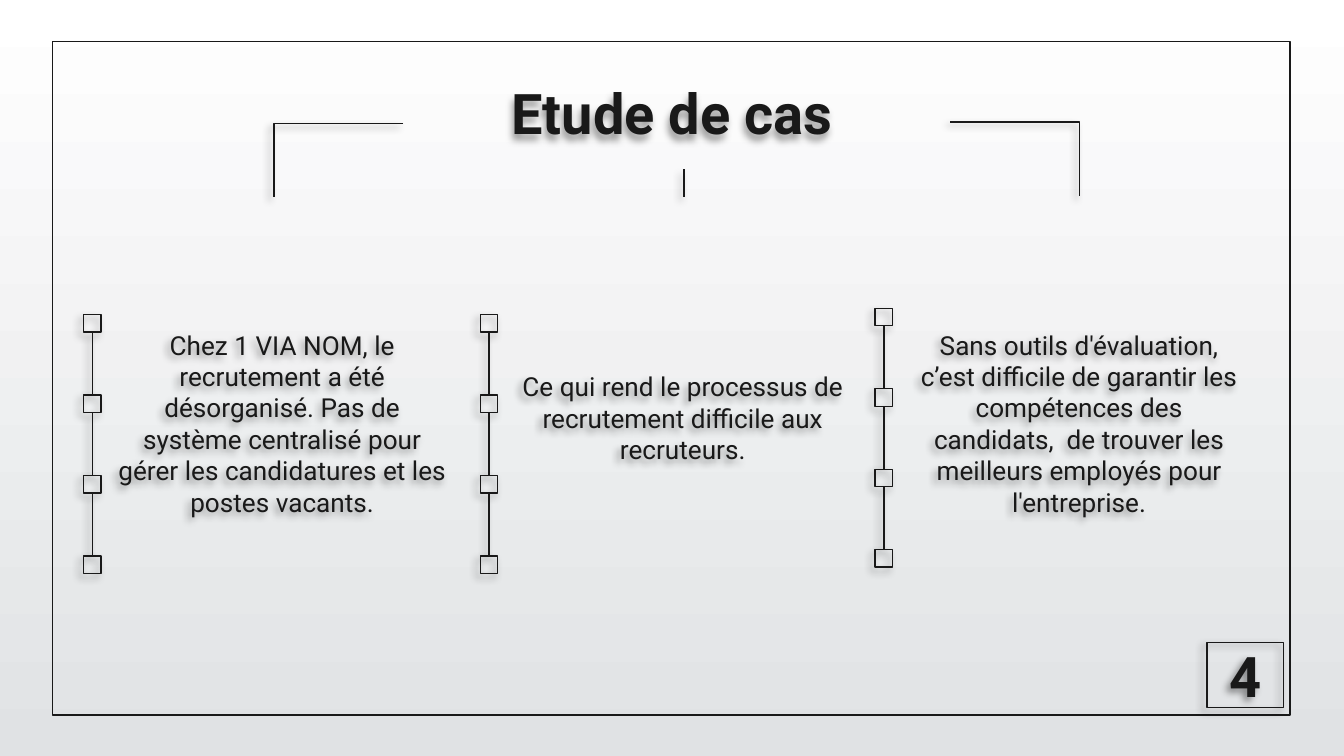
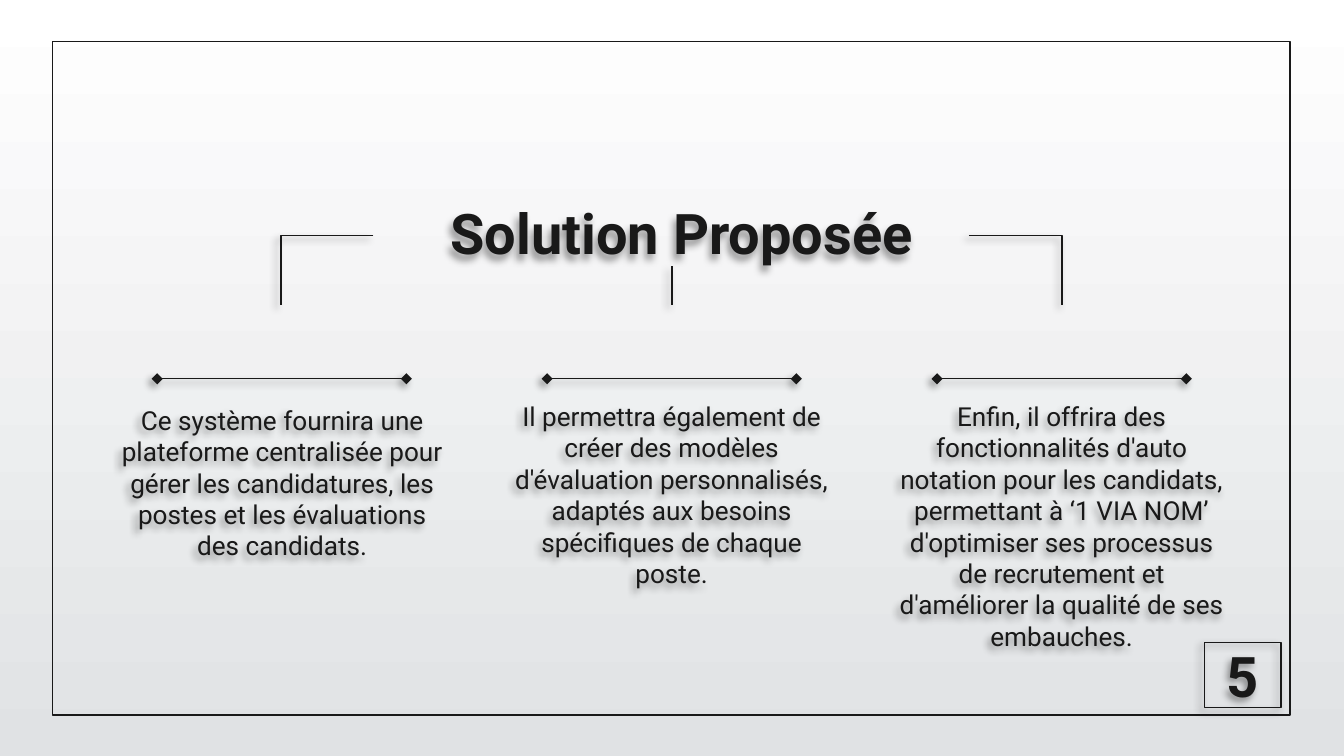
from dataclasses import dataclass

from lxml.etree import SubElement
from pptx import Presentation
from pptx.dml.color import RGBColor
from pptx.enum.shapes import MSO_CONNECTOR, MSO_SHAPE
from pptx.enum.text import MSO_ANCHOR, MSO_AUTO_SIZE, PP_ALIGN
from pptx.oxml.ns import qn
from pptx.util import Cm, Pt


@dataclass(frozen=True)
class Theme:
    ink: RGBColor = RGBColor(0x19, 0x19, 0x19)
    top: RGBColor = RGBColor(0xFF, 0xFF, 0xFF)
    bottom: RGBColor = RGBColor(0xE0, 0xE2, 0xE4)
    font: str = "Roboto"
    title_size: Pt = Pt(30)
    body_size: Pt = Pt(14)
    line_width: Pt = Pt(0.75)


theme = Theme()


def outline(shape, shadow=True):
    shape.line.color.rgb = theme.ink
    shape.line.width = theme.line_width
    effects = SubElement(shape.element.spPr, qn("a:effectLst"))
    if shadow:
        add_shadow(effects)


def add_shadow(effects):
    outer = SubElement(effects, qn("a:outerShdw"), blurRad=str(Pt(4)), dist=str(Pt(3)),
                       dir="8100000", algn="tr", rotWithShape="0")
    color = SubElement(outer, qn("a:srgbClr"), val="000000")
    SubElement(color, qn("a:alpha"), val="40000")


pages = [
    {
        "title": ("Etude de cas", 2, 1.24),
        "inset": 0.05,
        "texts": [
            (1.98, 6.17, 6.71, 6.58, "Chez 1 VIA NOM, le recrutement a été désorganisé. Pas de système "
             "centralisé pour gérer les candidatures et les postes vacants."),
            (9.55, 6.96, 6.71, 2.54, "Ce qui rend le processus de recrutement difficile aux recruteurs."),
            (17.04, 6.17, 6.71, 3.81, "Sans outils d'évaluation, c’est difficile de garantir les "
             "compétences des candidats,  de trouver les meilleurs employés pour l'entreprise."),
        ],
        "elbows": [(7.62, 2.34, 5.18, 3.73), (17.96, 2.31, 20.4, 3.71)],
        "stem": (12.93, 3.2, 12.93, 3.73),
        "chains": [(1.58, 5.95), (9.08, 5.95), (16.54, 5.83)],
        "bars": [],
        "number": ("4", 22.81),
    },
    {
        "title": ("Solution Proposée", 2.18, 3.51),
        "inset": 0.25,
        "texts": [
            (2.01, 7.39, 6.65, 3.58, "Ce système fournira une plateforme centralisée pour gérer les "
             "candidatures, les postes et les évaluations des candidats."),
            (9.37, 7.32, 6.65, 3.58, "Il permettra également de créer des modèles d'évaluation "
             "personnalisés, adaptés aux besoins spécifiques de chaque poste."),
            (16.74, 7.32, 6.65, 4.7, "Enfin, il offrira des fonctionnalités d'auto notation pour les "
             "candidats, permettant à ‘1 VIA NOM’ d'optimiser ses processus de recrutement et "
             "d'améliorer la qualité de ses embauches."),
        ],
        "elbows": [(7.06, 4.45, 5.31, 5.77), (18.31, 4.45, 20.07, 5.77)],
        "stem": (12.7, 5.03, 12.7, 5.77),
        "chains": [],
        "bars": [2.97 + 7.37 * column for column in range(3)],
        "number": ("5", 22.76),
    },
]

square_side = 0.33
square_pitch = 1.52
bar_top = 7.16
bar_length = 4.71

deck = Presentation()
deck.slide_width, deck.slide_height = Cm(25.4), Cm(14.29)
layout = deck.slide_layouts[5]

backdrop = deck.slide_master.background.fill
backdrop.gradient()
backdrop.gradient_angle = 270
for stop, color in zip(backdrop.gradient_stops, (theme.top, theme.bottom)):
    stop.color.rgb = color

for index, content in enumerate(pages):
    page = deck.slides.add_slide(layout)

    if index == 0:
        frame = page.shapes.add_shape(MSO_SHAPE.RECTANGLE, Cm(0.99), Cm(0.79), Cm(23.39), Cm(12.73))
        frame.fill.background()
        outline(frame, shadow=False)
        layout.shapes.element.append(frame.element)

    wording, left, top = content["title"]
    title = page.shapes.title
    title.left, title.top, title.width, title.height = Cm(left), Cm(top), Cm(21.41), Cm(1.6)
    written = [(title, wording, theme.title_size, True, 0.25, MSO_ANCHOR.TOP)]

    for left, top, width, height, wording in content["texts"]:
        box = page.shapes.add_textbox(Cm(left), Cm(top), Cm(width), Cm(height))
        written.append((box, wording, theme.body_size, False, content["inset"], MSO_ANCHOR.TOP))

    for box, *_ in written:
        add_shadow(SubElement(box.element.spPr, qn("a:effectLst")))

    for ends in content["elbows"]:
        elbow = page.shapes.add_connector(MSO_CONNECTOR.ELBOW, *map(Cm, ends))
        elbow.element.spPr.find(qn("a:prstGeom")).set("prst", "bentConnector2")
        outline(elbow)

    stem = page.shapes.add_connector(MSO_CONNECTOR.STRAIGHT, *map(Cm, content["stem"]))
    outline(stem)

    for left, top in content["chains"]:
        previous = None
        for step in range(4):
            square = page.shapes.add_shape(MSO_SHAPE.RECTANGLE, Cm(left), Cm(top + step * square_pitch),
                                           Cm(square_side), Cm(square_side))
            square.fill.background()
            outline(square)
            if previous is not None:
                link = page.shapes.add_connector(MSO_CONNECTOR.STRAIGHT, 0, 0, 0, 0)
                link.begin_connect(previous, 2)
                link.end_connect(square, 0)
                outline(link)
            previous = square

    for left in content["bars"]:
        bar = page.shapes.add_connector(MSO_CONNECTOR.STRAIGHT, Cm(left), Cm(bar_top),
                                        Cm(left + bar_length), Cm(bar_top))
        outline(bar)
        for end in ("a:headEnd", "a:tailEnd"):
            SubElement(bar.line._get_or_add_ln(), qn(end), type="diamond")

    wording, left = content["number"]
    badge = page.shapes.add_shape(MSO_SHAPE.RECTANGLE, Cm(left), Cm(12.14), Cm(1.45), Cm(1.24))
    badge.fill.background()
    outline(badge)
    written.append((badge, wording, theme.title_size, True, 0.25, MSO_ANCHOR.MIDDLE))

    for box, wording, size, bold, inset, anchor in written:
        frame_format = {
            "word_wrap": True, "auto_size": MSO_AUTO_SIZE.NONE, "vertical_anchor": anchor,
            "margin_left": Cm(0.25), "margin_right": Cm(0.25),
            "margin_top": Cm(inset), "margin_bottom": Cm(inset),
        }
        for name, value in frame_format.items():
            setattr(box.text_frame, name, value)
        para = box.text_frame.paragraphs[0]
        para.alignment = PP_ALIGN.CENTER
        span = para.add_run()
        span.text = wording
        for name, value in {"name": theme.font, "size": size, "bold": bold}.items():
            setattr(span.font, name, value)
        span.font.color.rgb = theme.ink

deck.save("out.pptx")
